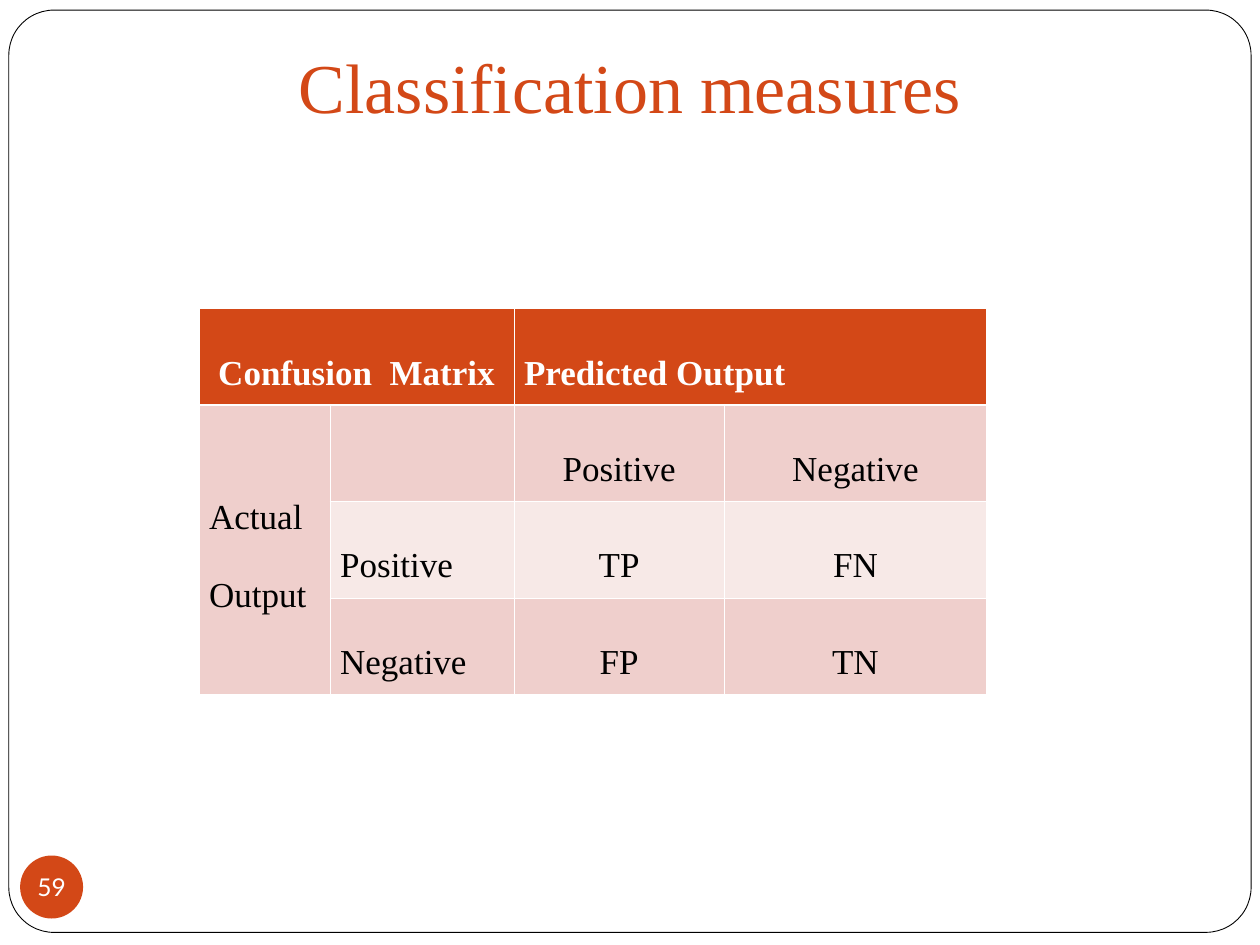
from lxml import etree
from pptx import Presentation, util as u
from pptx.dml.color import RGBColor
from pptx.enum import shapes, text
from pptx.oxml.ns import qn

COLORS = {"accent": "D34817", "band": "EFCFCC", "light": "F7E9E7",
          "white": "FFFFFF", "black": "000000"}
TITLE = "Classification measures"
PAGE = "59"
ROWS = [
    ["Confusion  Matrix", "", "Predicted Output", ""],
    ["Actual Output", "", "Positive", "Negative"],
    ["", "Positive", "TP", "FN"],
    ["", "Negative", "FP", "TN"],
]
ROW_FILLS = ["accent", "band", "light", "band"]
COL_WIDTHS = [1.04, 1.46, 1.67, 2.08]
ROW_HEIGHT = 0.765
MERGES = [((0, 0), (0, 1)), ((0, 2), (0, 3)), ((1, 0), (3, 0))]
ALIGN = text.PP_ALIGN


def rgb(name):
    return RGBColor.from_string(COLORS[name])


def style(p, size, font, color, align, bold=False):
    p.alignment = align
    p.font.size = u.Pt(size)
    p.font.name = font
    p.font.bold = bold
    p.font.color.rgb = rgb(color)


def add_preset(s, kind, box, fill, line=None):
    sp = s.shapes.add_shape(kind, *map(u.Inches, box))
    sp.shadow.inherit = False
    sp.fill.solid()
    sp.fill.fore_color.rgb = rgb(fill)
    if line:
        sp.line.color.rgb = rgb(line)
        sp.line.width = u.Pt(0.5)
    else:
        sp.line.fill.background()
    return sp


def set_borders(cell, widths):
    tc_pr = cell._tc.get_or_add_tcPr()
    for i, (side, width) in enumerate(widths.items()):
        ln = etree.Element(qn("a:ln" + side), w=str(u.Pt(width)))
        fill = etree.SubElement(ln, qn("a:solidFill"))
        etree.SubElement(fill, qn("a:srgbClr"), val=COLORS["white"])
        tc_pr.insert(i, ln)


def add_matrix(s):
    frame = s.shapes.add_table(
        len(ROWS), len(COL_WIDTHS), u.Inches(1.58), u.Inches(2.45),
        u.Inches(sum(COL_WIDTHS)), u.Inches(ROW_HEIGHT * len(ROWS)))
    table = frame.table
    for col, width in zip(table.columns, COL_WIDTHS):
        col.width = u.Inches(width)
    for row in table.rows:
        row.height = u.Inches(ROW_HEIGHT)
    for first, last in MERGES:
        table.cell(*first).merge(table.cell(*last))

    for i, values in enumerate(ROWS):
        for j, value in enumerate(values):
            cell = table.cell(i, j)
            cell.margin_left = cell.margin_right = u.Inches(0.08)
            cell.margin_top = cell.margin_bottom = u.Inches(0.05)
            cell.fill.solid()
            cell.fill.fore_color.rgb = rgb(ROW_FILLS[i])
            set_borders(cell, {"L": 0.45, "R": 0.45,
                               "T": 1.47 if i == 1 else 0.45,
                               "B": 1.47 if i == 0 else 0.45})
            if value:
                cell.text = value
            p = cell.text_frame.paragraphs[0]
            centred = (i, j) == (0, 0) or (i > 0 and j > 1)
            style(p, 20, "Times New Roman", "black" if i else "white",
                  ALIGN.CENTER if centred else ALIGN.LEFT, i == 0)
            if value:
                p.line_spacing = 2.0
    table.cell(1, 0).margin_top = u.Inches(0.43)


def main():
    prs = Presentation()
    prs.slide_width, prs.slide_height = u.Inches(10), u.Inches(7.5)
    s = prs.slides.add_slide(prs.slide_layouts[6])

    border = add_preset(s, shapes.MSO_SHAPE.ROUNDED_RECTANGLE,
                        (0.07, 0.08, 9.86, 7.32), "white", "black")
    border.adjustments[0] = 0.049

    badge = add_preset(s, shapes.MSO_SHAPE.OVAL, (0.16, 6.79, 0.5, 0.5), "accent")
    tf = badge.text_frame
    tf.margin_left = tf.margin_right = tf.margin_top = tf.margin_bottom = 0
    tf.word_wrap = False
    tf.vertical_anchor = text.MSO_ANCHOR.MIDDLE
    tf.text = PAGE
    style(tf.paragraphs[0], 14, "Lato", "white", ALIGN.CENTER)

    add_matrix(s)

    title = s.shapes.add_textbox(*map(u.Inches, (0.5, 0.3, 9, 1.25)))
    tf = title.text_frame
    tf.word_wrap = True
    tf.text = TITLE
    style(tf.paragraphs[0], 40, "Times New Roman", "accent", ALIGN.CENTER)

    prs.save("out.pptx")


if __name__ == "__main__":
    main()
